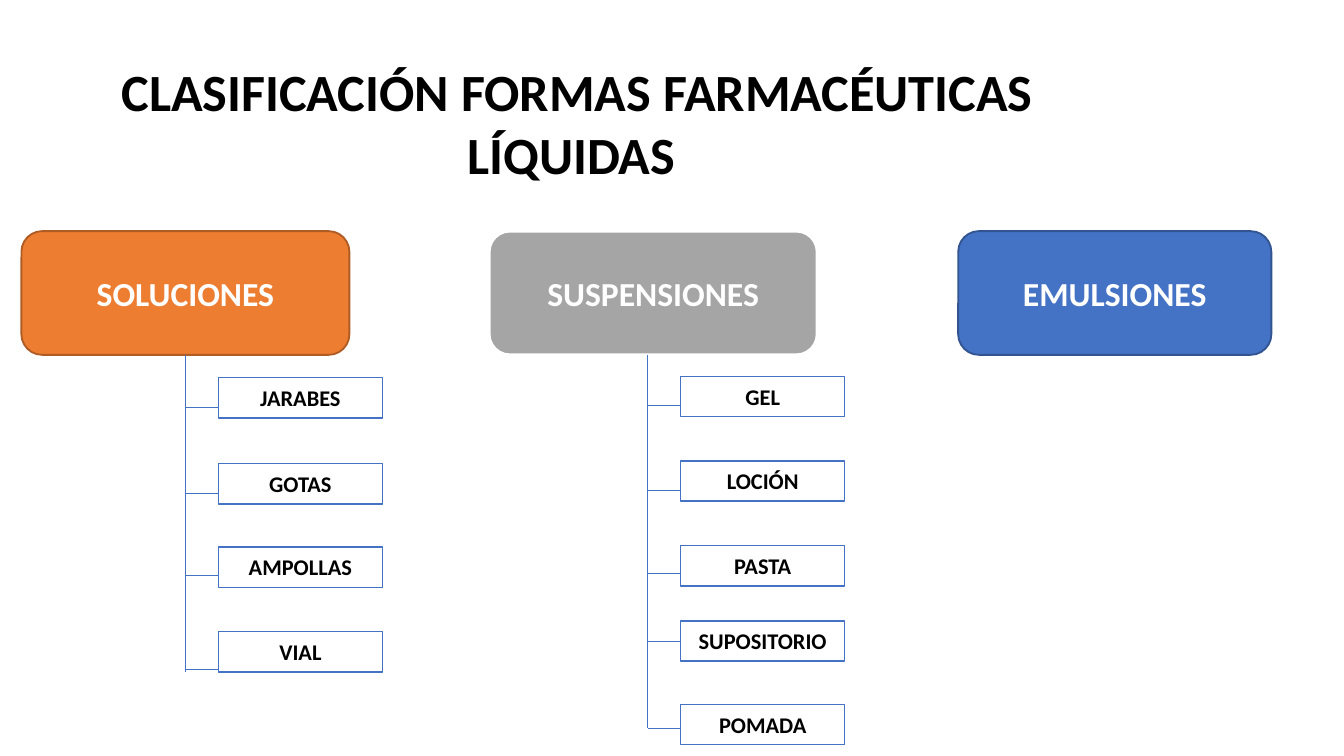
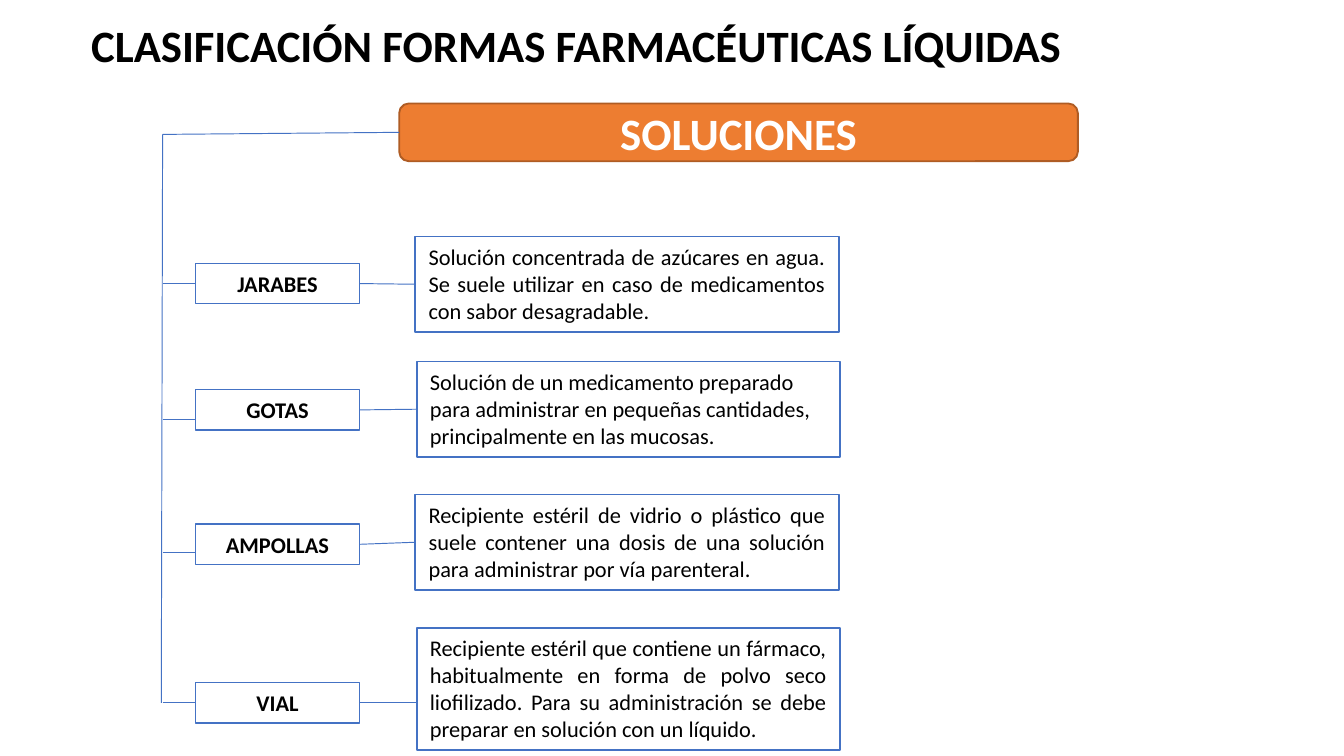
from pptx import Presentation
from pptx.dml.color import RGBColor
from pptx.enum.shapes import MSO_CONNECTOR, MSO_SHAPE
from pptx.enum.text import MSO_ANCHOR, MSO_AUTO_SIZE, PP_ALIGN
from pptx.oxml import parse_xml
from pptx.oxml.ns import nsdecls
from pptx.util import Inches, Pt

SLIDE_W = Inches(10)
SLIDE_H = SLIDE_W * 9 // 16
COLUMNS = 100
CELL = SLIDE_W / COLUMNS

RECT = MSO_SHAPE.RECTANGLE
ROUNDED = MSO_SHAPE.ROUNDED_RECTANGLE
STRAIGHT = MSO_CONNECTOR.STRAIGHT
TOP, MIDDLE = MSO_ANCHOR.TOP, MSO_ANCHOR.MIDDLE
GROW = MSO_AUTO_SIZE.SHAPE_TO_FIT_TEXT
CENTER, JUSTIFY = PP_ALIGN.CENTER, PP_ALIGN.JUSTIFY

FONT = "Calibri"
COLORS = {
    "text": "000000",
    "white": "FFFFFF",
    "blue": "4472C4",
    "blue_edge": "325491",
    "orange": "ED7D31",
    "orange_edge": "AF5C24",
    "gray": "A5A5A5",
}
TITLE = " CLASIFICACIÓN FORMAS FARMACÉUTICAS LÍQUIDAS"
LEAF_W, LEAF_H, ARM = 12.2, 3, 2.45
JOIN_TOLERANCE = 0.25 * CELL

BRANCHES = [
    {
        "name": "SOLUCIONES", "box": (1.6, 17.2, 24.4, 9.2),
        "fill": "orange", "edge": "orange_edge", "weight": 1,
        "shift": 0, "drop": 23.6,
        "leaves": [("JARABES", 1.7, 2.2), ("GOTAS", 8.1, 2.2),
                   ("AMPOLLAS", 14.3, 2.1), ("VIAL", 20.6, 2.8)],
    },
    {
        "name": "SUSPENSIONES", "box": (36.4, 17.2, 24.4, 9.2),
        "fill": "gray", "edge": "white", "weight": 1.5,
        "shift": -0.4, "drop": 27.8,
        "leaves": [("GEL", 1.6, 2.2), ("LOCIÓN", 7.9, 2.2),
                   ("PASTA", 14.2, 2.1), ("SUPOSITORIO", 19.8, 1.5),
                   ("POMADA", 26, 1.8)],
    },
    {
        "name": "EMULSIONES", "box": (71.3, 17.2, 23.3, 9.2),
        "fill": "blue", "edge": "blue_edge", "weight": 1,
        "shift": 0, "drop": 0, "leaves": [],
    },
]

DEFINITIONS = [
    ("JARABES", 9.6, 1.5, (18.8, 7.6, 31.5, 7.1),
     ["Solución concentrada de azúcares en agua. Se suele utilizar en caso "
      "de medicamentos con sabor desagradable."]),
    ("GOTAS", 19, 2.2, (18.9, 16.9, 31.5, 7.1),
     ["Solución de un medicamento preparado",
      "para administrar en pequeñas cantidades,",
      "principalmente en las mucosas."]),
    ("AMPOLLAS", 29, 2.1, (18.8, 26.8, 31.5, 7.1),
     ["Recipiente estéril de vidrio o plástico que suele contener una dosis "
      "de una solución para administrar por vía parenteral."]),
    ("VIAL", 40.8, 1.5, (18.9, 36.7, 31.5, 9.1),
     ["Recipiente estéril que contiene un fármaco, habitualmente en forma de "
      "polvo seco liofilizado. Para su administración se debe preparar en "
      "solución con un líquido."]),
]


def color(name):
    return RGBColor.from_string(COLORS[name])


def cells(*lengths):
    return [round(length * CELL) for length in lengths]


def write(frame, lines, size, ink="text", bold=True, align=CENTER, anchor=TOP):
    frame.word_wrap = True
    frame.vertical_anchor = anchor
    frame.text = "\n".join(lines)
    for paragraph in frame.paragraphs:
        paragraph.alignment = align
        paragraph.line_spacing = 1.0
        paragraph.space_before = Pt(0)
        paragraph.font.name = FONT
        paragraph.font.size = Pt(size)
        paragraph.font.bold = bold
        paragraph.font.color.rgb = color(ink)


def panel(slide, preset, box, fill, edge, weight):
    shape = slide.shapes.add_shape(preset, *cells(*box))
    shape.shadow.inherit = False
    if fill:
        shape.fill.solid()
        shape.fill.fore_color.rgb = color(fill)
    else:
        shape.fill.background()
    shape.line.color.rgb = color(edge)
    shape.line.width = Pt(weight)
    return shape


def join(connect, shape, point):
    center = shape.left + shape.width // 2
    middle = shape.top + shape.height // 2
    sides = [(center, shape.top), (shape.left, middle),
             (center, shape.top + shape.height),
             (shape.left + shape.width, middle)]
    for site, side in enumerate(sides):
        if all(abs(a - b) <= JOIN_TOLERANCE for a, b in zip(side, point)):
            connect(shape, site)


def link(slide, start, end, source=None, target=None):
    start, end = cells(*start), cells(*end)
    wire = slide.shapes.add_connector(STRAIGHT, *start, *end)
    wire.line.color.rgb = color("blue")
    wire.line.width = Pt(0.5)
    wire._element.spPr.append(parse_xml(f"<a:effectLst {nsdecls('a')}/>"))
    if source is not None:
        join(wire.begin_connect, source, start)
    if target is not None:
        join(wire.end_connect, target, end)


def add_titled_slide(prs, box, size):
    slide = prs.slides.add_slide(prs.slide_layouts[5])
    title = slide.shapes.title
    title.left, title.top, title.width, title.height = cells(*box)
    write(title.text_frame, [TITLE], size)
    title.text_frame.auto_size = GROW
    return slide


def heading(slide, box, name, size, fill, edge, weight=1):
    shape = panel(slide, ROUNDED, box, fill, edge, weight)
    write(shape.text_frame, [name], size, ink="white", anchor=MIDDLE)
    return shape


def leaf(slide, stem, top, name, arm):
    left = stem + ARM
    shape = panel(slide, RECT, (left, top, LEAF_W, LEAF_H), None, "blue", 0.75)
    write(shape.text_frame, [name], 12)
    shape.text_frame.auto_size = GROW
    link(slide, (stem, top + arm), (left, top + arm), target=shape)
    return shape


def branch(slide, name, box, fill, edge, weight, shift, drop, leaves):
    left, top, width, height = box
    head = heading(slide, box, name, 18, fill, edge, weight)
    stem, bottom = left + width / 2 + shift, top + height
    if leaves:
        link(slide, (stem, bottom), (stem, bottom + drop), source=head)
    for leaf_name, offset, arm in leaves:
        leaf(slide, stem, bottom + offset, leaf_name, arm)


def definition(slide, origin, term, offset, arm, box, lines):
    left, top = origin
    term_top = top + offset
    label = leaf(slide, left, term_top, term, arm)
    x, y, width, height = box
    card = panel(slide, RECT, (left + x, top + y, width, height),
                 "white", "blue", 1)
    write(card.text_frame, lines, 12, bold=False, align=JUSTIFY)
    card.text_frame.auto_size = GROW
    middle = term_top + LEAF_H / 2
    link(slide, (left + ARM + LEAF_W, middle), (left + x, middle),
         source=label, target=card)


def classification_slide(prs):
    slide = add_titled_slide(prs, (2.9, 3.9, 79.2, 10.4), 28)
    for group in BRANCHES:
        branch(slide, **group)


def solutions_slide(prs):
    slide = add_titled_slide(prs, (2.9, 0.8, 79.2, 5), 24)
    head = heading(slide, (29.7, 7.7, 50.5, 4.3), "SOLUCIONES", 24,
                   "orange", "orange_edge")
    left, top = origin = (12.1, 10)
    link(slide, origin, (left - 0.1, top + 42.3))
    link(slide, origin, (29.7, 9.9), target=head)
    for entry in DEFINITIONS:
        definition(slide, origin, *entry)


def main():
    prs = Presentation()
    prs.slide_width, prs.slide_height = SLIDE_W, SLIDE_H
    classification_slide(prs)
    solutions_slide(prs)
    prs.save("out.pptx")


if __name__ == "__main__":
    main()
